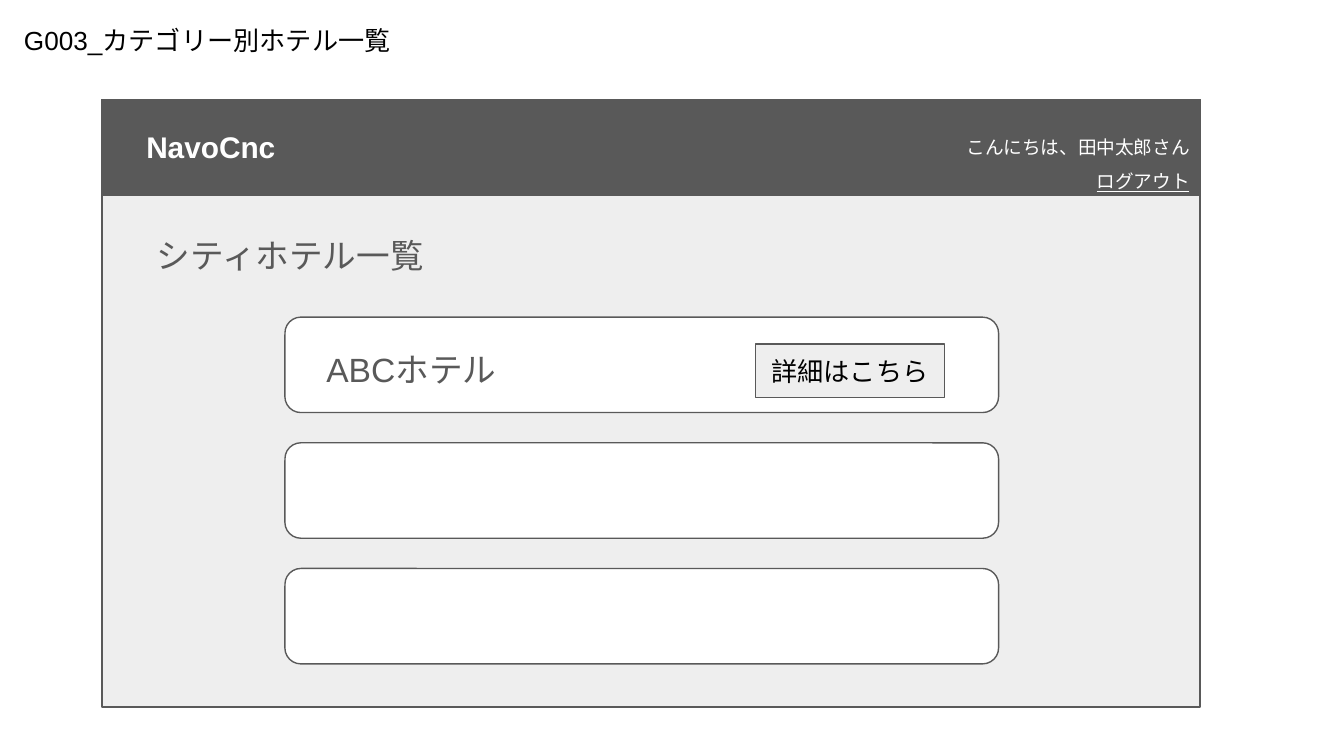
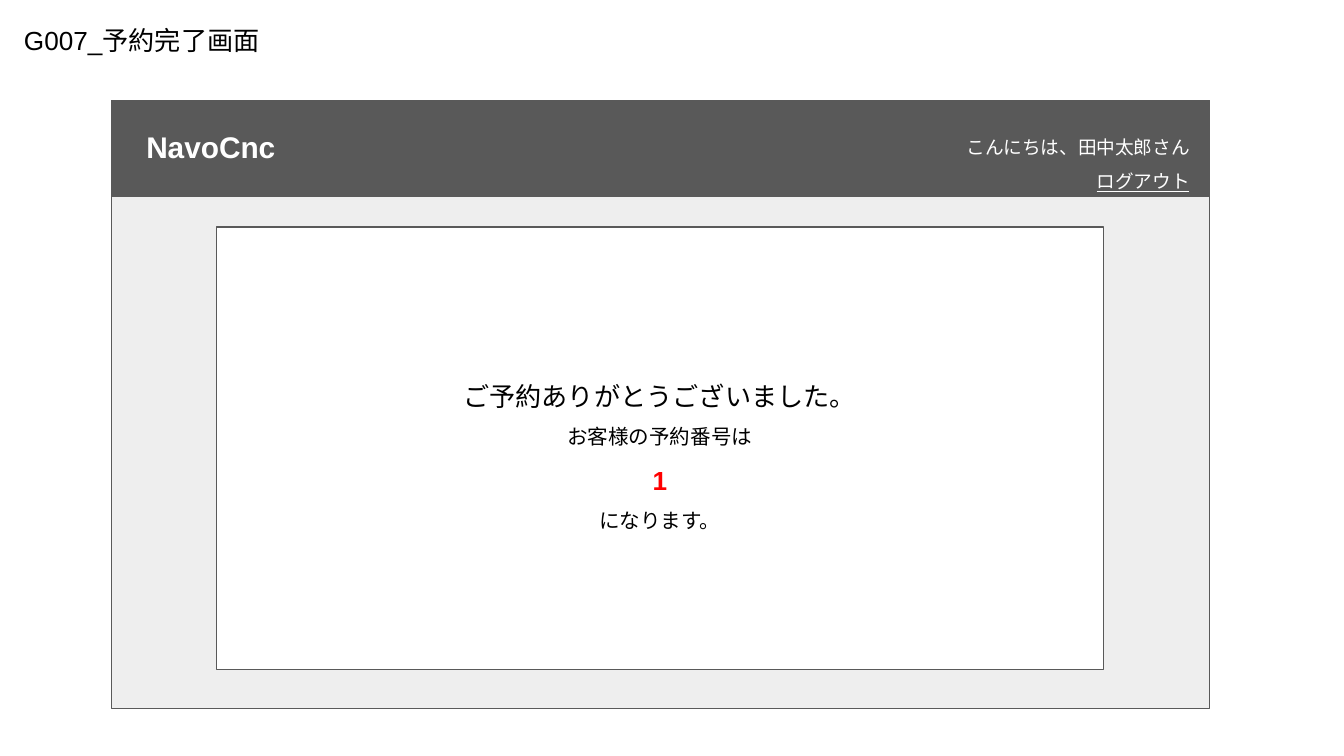
from dataclasses import dataclass
from typing import Any, Optional

import pptx
import pptx.dml.color
import pptx.enum.shapes
import pptx.enum.text
import pptx.util

Inches = pptx.util.Inches
SHAPES = pptx.enum.shapes.MSO_SHAPE
ALIGN = pptx.enum.text.PP_ALIGN
ANCHOR = pptx.enum.text.MSO_ANCHOR
AUTO_SIZE = pptx.enum.text.MSO_AUTO_SIZE

FONT = "Arial"
DARK = "595959"
PALE = "EEEEEE"
WHITE = "FFFFFF"
BLACK = "000000"
RED = "FF0000"

PAGE_WIDTH = 10
PAGE_HEIGHT = PAGE_WIDTH * 9 / 16
FRAME_WIDTH = 8.17
FRAME_HEIGHT = 4.52
BAND_HEIGHT = 0.71
CARD_COUNT = 3
FIRST_CARD_TOP = 2.36
LAST_CARD_TOP = 4.23


@dataclass(frozen=True)
class Area:
    left: float
    top: float
    width: float
    height: float

    def lengths(self) -> tuple:
        return tuple(Inches(v) for v in (self.left, self.top, self.width, self.height))


@dataclass(frozen=True)
class Line:
    text: str
    size: float
    color: str = BLACK
    bold: bool = False
    underline: bool = False


def rgb(color: str) -> Any:
    return pptx.dml.color.RGBColor.from_string(color)


def write_lines(box: Any, lines: list[Line], align: Any, spacing: Optional[float] = None) -> None:
    frame = box.text_frame
    frame.word_wrap = True
    frame.margin_left = frame.margin_right = Inches(0.1)
    frame.margin_top = frame.margin_bottom = Inches(0.1)
    for index, line in enumerate(lines):
        para = frame.add_paragraph() if index else frame.paragraphs[0]
        para.text = line.text
        para.alignment = align
        if spacing:
            para.line_spacing = spacing
        font = para.font
        font.name = FONT
        font.size = pptx.util.Pt(line.size)
        font.bold = line.bold
        font.underline = line.underline
        font.color.rgb = rgb(line.color)


def add_text(page: Any, area: Area, lines: list[Line], align: Any = ALIGN.LEFT,
             spacing: Optional[float] = None, grow: bool = False) -> None:
    box = page.shapes.add_textbox(*area.lengths())
    write_lines(box, lines, align, spacing)
    if grow:
        box.text_frame.auto_size = AUTO_SIZE.SHAPE_TO_FIT_TEXT


def add_box(page: Any, area: Area, fill: str, kind: Any = SHAPES.RECTANGLE) -> Any:
    box = page.shapes.add_shape(kind, *area.lengths())
    box.shadow.inherit = False
    box.fill.solid()
    box.fill.fore_color.rgb = rgb(fill)
    box.line.color.rgb = rgb(DARK)
    box.line.width = pptx.util.Pt(0.75)
    return box


def add_centered_box(page: Any, area: Area, fill: str, lines: list[Line],
                     spacing: Optional[float] = None) -> None:
    box = add_box(page, area, fill)
    box.text_frame.vertical_anchor = ANCHOR.MIDDLE
    write_lines(box, lines, ALIGN.CENTER, spacing)


def add_screen(deck: Any, title: str, title_width: float, left: float, top: float) -> Any:
    page = deck.slides.add_slide(deck.slide_layouts[6])
    add_box(page, Area(left, top, FRAME_WIDTH, FRAME_HEIGHT), PALE)
    add_text(page, Area(0.08, 0.08, title_width, 0.44), [Line(title, 14)], grow=True)
    add_box(page, Area(left, top, FRAME_WIDTH, BAND_HEIGHT), DARK)
    service = [Line("NavoCnc", 16, WHITE, bold=True)]
    add_text(page, Area(0.99, 0.86, 2.73, 0.47), service, grow=True)
    greeting = [
        Line("こんにちは、田中太郎さん", 10, WHITE),
        Line("ログアウト", 10, WHITE, underline=True),
    ]
    add_text(page, Area(6.22, 0.83, 2.73, 0.62), greeting, ALIGN.RIGHT, 1.5, grow=True)
    return page


def add_hotel_list(deck: Any) -> None:
    page = add_screen(deck, "G003_カテゴリー別ホテル一覧", 3.34, 0.76, 0.74)
    pitch = (LAST_CARD_TOP - FIRST_CARD_TOP) / (CARD_COUNT - 1)
    for row in range(CARD_COUNT):
        card = Area(2.12, FIRST_CARD_TOP + row * pitch, 5.31, 0.71)
        add_box(page, card, WHITE, SHAPES.ROUNDED_RECTANGLE)
    add_text(page, Area(1.07, 1.65, 2.43, 0.4), [Line("シティホテル一覧", 18, DARK)])
    add_text(page, Area(2.33, 2.5, 2.67, 0.33), [Line("ABCホテル", 18, DARK)])
    add_centered_box(page, Area(5.62, 2.56, 1.41, 0.4), PALE, [Line("詳細はこちら", 14)])


def add_booking_complete(deck: Any) -> None:
    page = add_screen(deck, "G007_予約完了画面", 2.73, 0.83, 0.75)
    message = [
        Line("ご予約ありがとうございました。", 14),
        Line("お客様の予約番号は", 11),
        Line("1", 14, RED, bold=True),
        Line("になります。", 11),
    ]
    add_centered_box(page, Area(1.61, 1.69, 6.6, 3.29), WHITE, message, 1.5)


def main() -> None:
    deck = pptx.Presentation()
    deck.slide_width = Inches(PAGE_WIDTH)
    deck.slide_height = Inches(PAGE_HEIGHT)
    add_hotel_list(deck)
    add_booking_complete(deck)
    deck.save("out.pptx")


if __name__ == "__main__":
    main()
